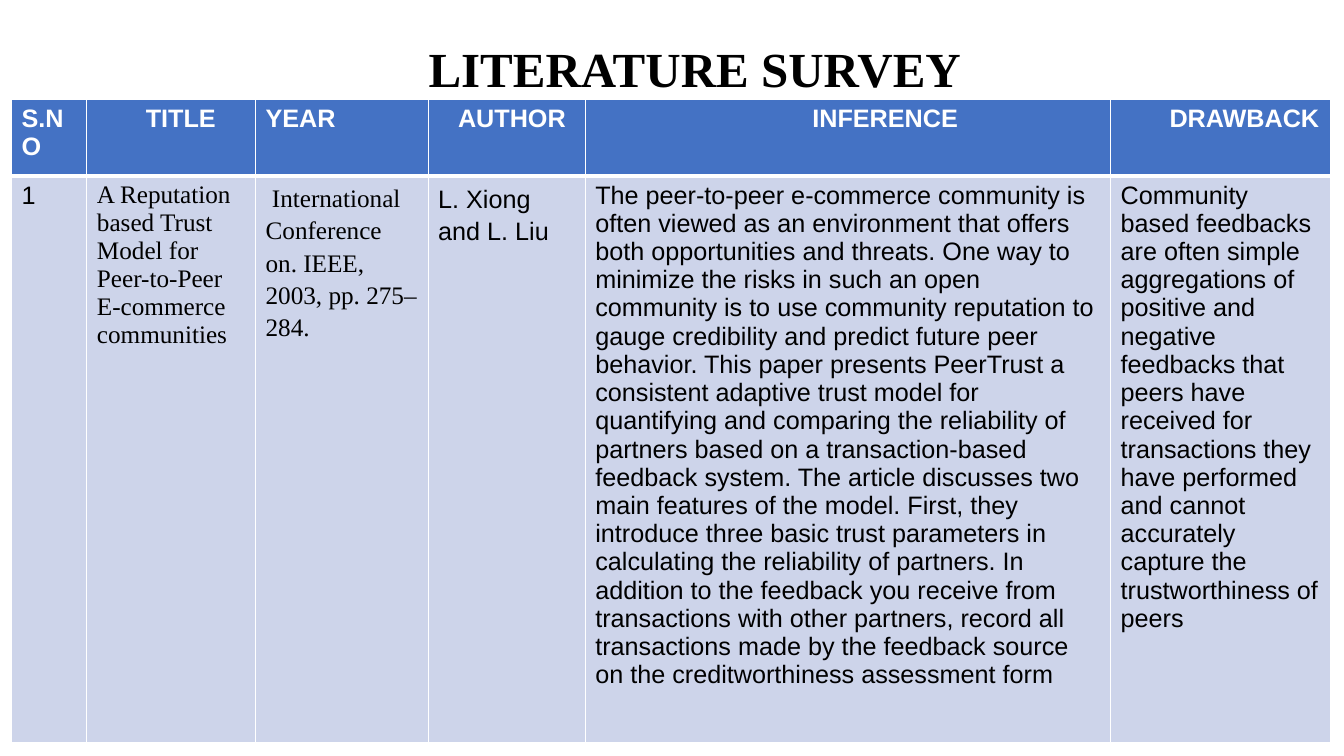
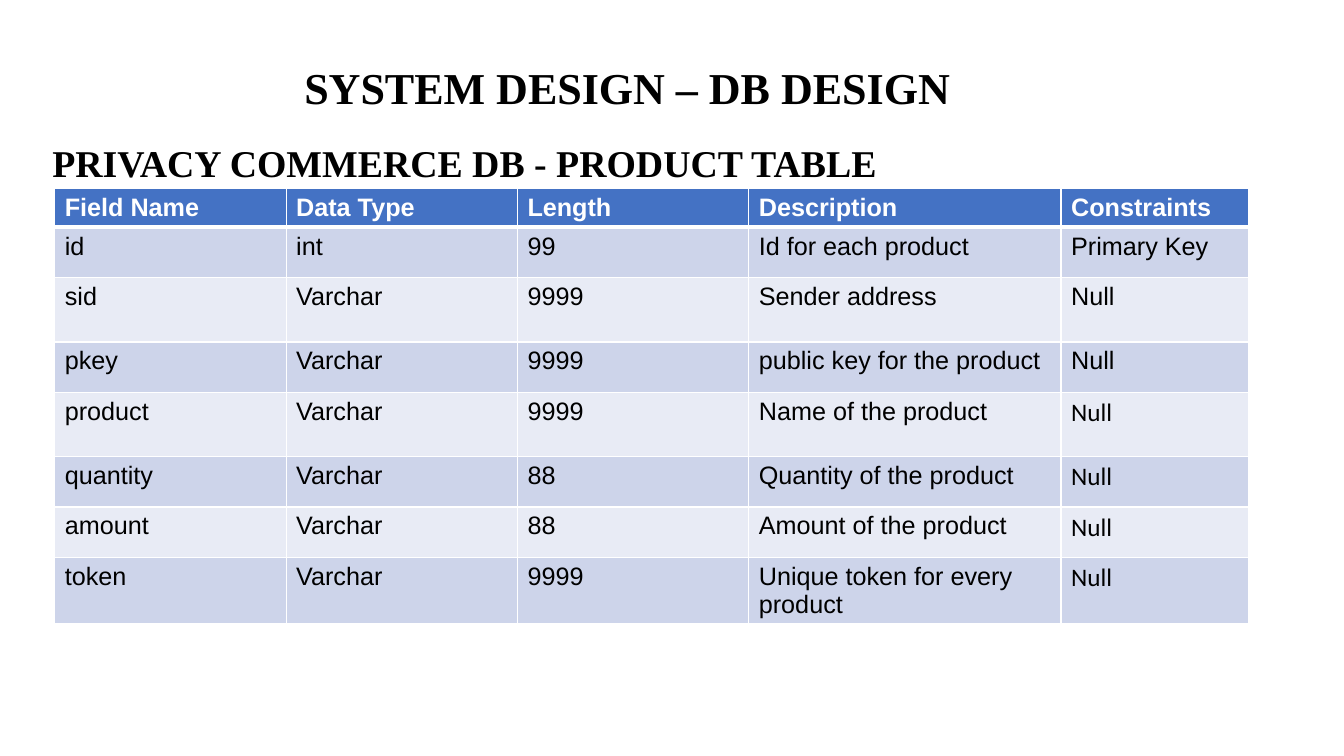
from lxml import etree
from pptx import Presentation, util as u
from pptx.dml.color import RGBColor
from pptx.enum import text
from pptx.oxml import ns

COLORS = {"ink": "000000", "paper": "FFFFFF", "header": "4472C4",
          "band_dark": "CDD4EA", "band_light": "E8EBF5"}
SERIF, SANS, ALT = "Times New Roman", "Arial", "Calibri"


def color(name):
    """Return the palette colour with this name."""
    return RGBColor.from_string(COLORS[name])


def entry(*lines, font=SANS, indent=0, spacing=None, before=None):
    """Describe a table cell: its lines and how they are set."""
    return {"lines": lines, "font": font, "indent": indent,
            "spacing": spacing, "before": before}


class Deck:
    """Shared style together with the slide being built."""

    def __init__(self):
        """Open an empty widescreen presentation."""
        self.prs = Presentation()
        self.prs.slide_width, self.prs.slide_height = u.Cm(33.87), u.Cm(19.05)
        self.slide = None

    def new_slide(self):
        """Start a slide on the blank layout."""
        self.slide = self.prs.slides.add_slide(self.prs.slide_layouts[6])

    def styled_run(self, paragraph, words, size, font, ink="ink", bold=False, indent=0):
        """Add one styled run to a paragraph, indented in centimetres."""
        if indent:
            paragraph._p.get_or_add_pPr().set("marL", str(int(u.Cm(indent))))
        run = paragraph.add_run()
        run.text = words
        run.font.size, run.font.name, run.font.bold = u.Pt(size), font, bold
        run.font.color.rgb = color(ink)

    def heading(self, box, lines, anchor, align=text.PP_ALIGN.LEFT):
        """Add bold serif lines given as (words, size, spacing, indent)."""
        frame = self.slide.shapes.add_textbox(*map(u.Cm, box)).text_frame
        frame.word_wrap = True
        frame.auto_size = text.MSO_AUTO_SIZE.NONE
        frame.vertical_anchor = anchor
        for i, (words, size, spacing, indent) in enumerate(lines):
            paragraph = frame.add_paragraph() if i else frame.paragraphs[0]
            paragraph.alignment, paragraph.line_spacing = align, spacing
            self.styled_run(paragraph, words, size, SERIF, bold=True, indent=indent)

    def borders(self, cell, bottom):
        """Draw white cell edges, with the bottom width in points."""
        props = cell._tc.get_or_add_tcPr()
        for i, (edge, width) in enumerate(zip("LRTB", (1, 1, 1, bottom))):
            line = etree.Element(ns.qn("a:ln" + edge), w=str(int(u.Pt(width))))
            fill = etree.SubElement(line, ns.qn("a:solidFill"))
            etree.SubElement(fill, ns.qn("a:srgbClr"), val=COLORS["paper"])
            props.insert(i, line)

    def fill_cell(self, cell, content, row):
        """Style one cell according to its row and add its text."""
        is_header = row == 0
        band = "header" if is_header else "band_dark" if row % 2 else "band_light"
        cell.fill.solid()
        cell.fill.fore_color.rgb = color(band)
        self.borders(cell, 3 if is_header else 1)
        if isinstance(content, str):
            content = entry(content)
        for i, words in enumerate(content["lines"]):
            frame = cell.text_frame
            paragraph = frame.add_paragraph() if i else frame.paragraphs[0]
            if content["spacing"]:
                paragraph.line_spacing = content["spacing"]
                paragraph.space_before = u.Pt(content["before"])
            self.styled_run(paragraph, words, 18, content["font"],
                            "paper" if is_header else "ink", is_header,
                            content["indent"])

    def table(self, left, top, widths, heights, rows):
        """Add a banded table with a header row."""
        grid = self.slide.shapes.add_table(
            len(heights), len(widths), u.Cm(left), u.Cm(top),
            u.Cm(sum(widths)), u.Cm(sum(heights))).table
        grid.first_row = grid.horz_banding = False
        for column, width in zip(grid.columns, widths):
            column.width = u.Cm(width)
        for r, (height, contents) in enumerate(zip(heights, rows)):
            grid.rows[r].height = u.Cm(height)
            for c, content in enumerate(contents):
                self.fill_cell(grid.cell(r, c), content, r)


INFERENCE = (
    "The peer-to-peer e-commerce community is often viewed as an environment that "
    "offers both opportunities and threats. One way to minimize the risks in such an "
    "open community is to use community reputation to gauge credibility and predict "
    "future peer behavior. This paper presents PeerTrust a consistent adaptive trust "
    "model for quantifying and comparing the reliability of partners based on a "
    "transaction-based feedback system. The article discusses two main features of the "
    "model. First, they introduce three basic trust parameters in calculating the "
    "reliability of partners. In addition to the feedback you receive from transactions "
    "with other partners, record all transactions made by the feedback source on the "
    "creditworthiness assessment form")
DRAWBACK = (
    "Community based feedbacks are often simple aggregations of positive and negative "
    "feedbacks that peers have received for transactions they have performed and cannot "
    "accurately capture the trustworthiness of peers")


def literature_survey(deck):
    """Build the survey slide."""
    deck.new_slide()
    deck.heading((0, 0.69, 29.21, 2.21), [("LITERATURE SURVEY", 35, 0.9, 5.82)],
                 text.MSO_ANCHOR.MIDDLE, text.PP_ALIGN.CENTER)
    header = ["S.NO", entry("TITLE", indent=1.23), "YEAR", entry("AUTHOR", indent=0.5),
              entry("INFERENCE", indent=5.47), entry("DRAWBACK", indent=1.23)]
    paper = ["1",
             entry("A Reputation based Trust Model for Peer-to-Peer ",
                   "E-commerce communities", font=SERIF),
             entry(" International Conference on. IEEE, 2003, pp. 275–284.",
                   font=SERIF, spacing=1.15, before=12),
             entry("L. Xiong and L. Liu", spacing=1.15, before=12),
             INFERENCE, DRAWBACK]
    deck.table(0.29, 2.51, [1.9, 4.25, 4.35, 3.96, 13.24, 5.54], [1.93, 14.27],
               [header, paper])


def database_design(deck):
    """Build the product table slide."""
    deck.new_slide()
    deck.heading((1.07, 0.69, 30.78, 3.61),
                 [("SYSTEM DESIGN – DB DESIGN", 31.5, u.Pt(58), 6.35),
                  ("PRIVACY COMMERCE DB - PRODUCT TABLE", 27, u.Pt(51), 0)],
                 text.MSO_ANCHOR.TOP)
    alt_null = entry("Null", font=ALT)
    rows = [
        ["Field Name", "Data Type", "Length", "Description", "Constraints"],
        ["id", "int", "99", "Id for each product", "Primary Key"],
        ["sid", "Varchar", "9999", "Sender address", "Null"],
        ["pkey", "Varchar", "9999", "public key for the product", "Null"],
        ["product", "Varchar", "9999", "Name of the product", alt_null],
        ["quantity", "Varchar", "88", "Quantity of the product", alt_null],
        ["amount", "Varchar", "88", "Amount of the product", alt_null],
        ["token", "Varchar", "9999", "Unique token for every product", alt_null],
    ]
    short, tall = 1.27, 1.62
    deck.table(1.38, 4.76, [5.83] * 3 + [7.87, 4.73],
               [0.93, short, tall, short, tall, short, short, short], rows)


deck = Deck()
literature_survey(deck)
database_design(deck)
deck.prs.save("out.pptx")
